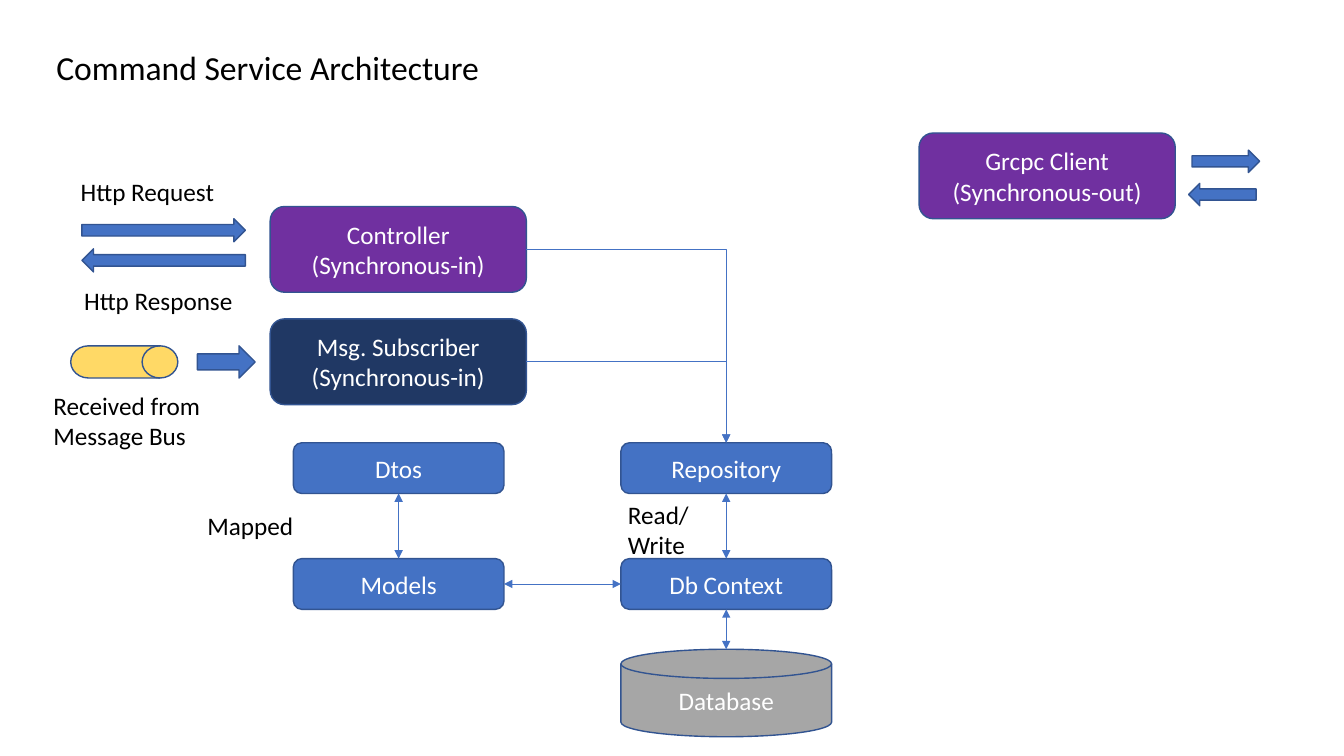
from dataclasses import dataclass
from lxml.etree import SubElement
from pptx import Presentation
from pptx.dml.color import RGBColor as Rgb
from pptx.enum.shapes import MSO_CONNECTOR as Wire, MSO_SHAPE as Kind
from pptx.enum.text import MSO_ANCHOR as Anchor, MSO_AUTO_SIZE as Fit, PP_ALIGN as Align
from pptx.oxml.ns import qn
from pptx.util import Pt


@dataclass(frozen=True)
class Theme:
    font: str = "Calibri"
    head: int = 24
    body: int = 18
    edge: float = 1
    wire: float = 0.5
    ink: str = "000000"
    white: str = "FFFFFF"
    blue: str = "4472C4"
    line: str = "325491"
    purple: str = "7030A0"
    navy: str = "203864"
    gold: str = "FFD966"
    gray: str = "A6A6A6"


T = Theme()
TOP, LEFT, BOTTOM, RIGHT = range(4)  # connection sites of a box
CARD = 183, 61.25
NODE = 150.5, 36.25


def apply(target, values):
    for name, value in values.items():
        setattr(target, name, value)


def write(frame, text, color, size=T.body, align=Align.LEFT, **form):
    frame.text = text
    apply(frame, {"word_wrap": True, "auto_size": Fit.NONE, **form})
    for para in frame.paragraphs:
        para.alignment = align
        apply(para.font, {"name": T.font, "size": Pt(size), "bold": False})
        para.font.color.rgb = Rgb.from_string(color)


def shape(slide, kind, x, y, w, h, fill=T.blue, text=""):
    item = slide.shapes.add_shape(kind, Pt(x), Pt(y), Pt(w), Pt(h))
    item.shadow.inherit = False
    item.fill.solid()
    item.fill.fore_color.rgb = Rgb.from_string(fill)
    item.line.color.rgb = Rgb.from_string(T.line)
    item.line.width = Pt(T.edge)
    if text:
        write(item.text_frame, text, T.white, align=Align.CENTER,
              vertical_anchor=Anchor.MIDDLE)
    return item


def label(slide, text, x, y, w, h, wrap=False):
    box = slide.shapes.add_textbox(Pt(x), Pt(y), Pt(w), Pt(h))
    write(box.text_frame, text, T.ink, word_wrap=wrap)


def join(slide, start, out, end, into, both=True):
    """Link two boxes; a one-way link bends once, right then down."""
    kind = Wire.STRAIGHT if both else Wire.ELBOW
    link = slide.shapes.add_connector(kind, 0, 0, 0, 0)
    link.begin_connect(start, out)
    link.end_connect(end, into)
    link.line.color.rgb = Rgb.from_string(T.blue)
    link.line.width = Pt(T.wire)
    props = link._element.spPr
    if not both:
        props.find(qn("a:prstGeom")).set("prst", "bentConnector2")
    line = link.line._get_or_add_ln()
    for tag in ("a:headEnd", "a:tailEnd") if both else ("a:tailEnd",):
        SubElement(line, qn(tag), type="triangle")
    SubElement(props, qn("a:effectLst"))
    return link


def title(slide, x, y, w, h):
    head = slide.shapes.title
    apply(head, {"left": Pt(x), "top": Pt(y), "width": Pt(w), "height": Pt(h)})
    write(head.text_frame, "Command Service Architecture", T.ink, T.head,
          vertical_anchor=Anchor.TOP)


def web(slide, x, y):
    """HTTP traffic and the controller."""
    label(slide, "Http Request", x, y, 111.5, 29)
    shape(slide, Kind.RIGHT_ARROW, x + 8, y + 34, 116.75, 16.5)
    shape(slide, Kind.LEFT_ARROW, x + 8, y + 55.5, 116.75, 16.5)
    label(slide, "Http Response", x + 2.5, y + 78, 122, 29)
    return shape(slide, Kind.ROUNDED_RECTANGLE, x + 142.5, y + 25.25, *CARD,
                 T.purple, "Controller\n(Synchronous-in)")


def bus(slide, x, y):
    """Message bus and its subscriber."""
    shape(slide, Kind.FLOWCHART_DIRECT_ACCESS_STORAGE, x + 19.5, y + 19.25, 76.5, 23, T.gold)
    shape(slide, Kind.RIGHT_ARROW, x + 110, y + 19.25, 41.25, 23)
    label(slide, "Received from Message Bus", x, y + 47.25, 173.5, 51, True)
    return shape(slide, Kind.ROUNDED_RECTANGLE, x + 162, y, *CARD,
                 T.navy, "Msg. Subscriber\n(Synchronous-in)")


def client(slide, x, y):
    """Outgoing calls."""
    shape(slide, Kind.ROUNDED_RECTANGLE, x, y, *CARD,
          T.purple, "Grcpc Client\n(Synchronous-out)")
    shape(slide, Kind.RIGHT_ARROW, x + 195, y + 12.25, 48.25, 16)
    shape(slide, Kind.LEFT_ARROW, x + 192.5, y + 36, 48.25, 16)


def data(slide, x, y):
    """Data layer: a grid of two by two boxes above the database."""
    across, down = 234, 82.75
    names = ("Dtos", "Repository"), ("Models", "Db Context")
    (dtos, repo), (models, base) = [
        [shape(slide, Kind.ROUNDED_RECTANGLE, x + col * across, y + row * down,
               *NODE, T.blue, name) for col, name in enumerate(line)]
        for row, line in enumerate(names)]
    disk = shape(slide, Kind.FLOWCHART_MAGNETIC_DISK, x + across, y + 147.5,
                 NODE[0], 62.5, T.gray, "Database")
    join(slide, dtos, BOTTOM, models, TOP)
    join(slide, repo, BOTTOM, base, TOP)
    join(slide, models, RIGHT, base, LEFT)
    # The disk numbers its sites differently: its top is site 1
    drop = join(slide, base, BOTTOM, disk, TOP)
    drop._element.find(".//" + qn("a:endCxn")).set("idx", "1")
    label(slide, "Mapped", x - 68.5, y + 45, 76.5, 29)
    label(slide, "Read/\nWrite", x + 232, y + 36.5, 58, 51)
    return repo


def main():
    deck = Presentation()
    apply(deck, {"slide_width": Pt(960), "slide_height": Pt(540)})
    slide = deck.slides.add_slide(deck.slide_layouts[5])
    title(slide, 33, 30, 420.5, 36)
    repo = data(slide, 209.5, 316.25)
    for card in (web(slide, 50.5, 122.25), bus(slide, 31, 227.75)):
        join(slide, card, RIGHT, repo, TOP, both=False)
    client(slide, 656.5, 95)
    deck.save("out.pptx")


if __name__ == "__main__":
    main()
